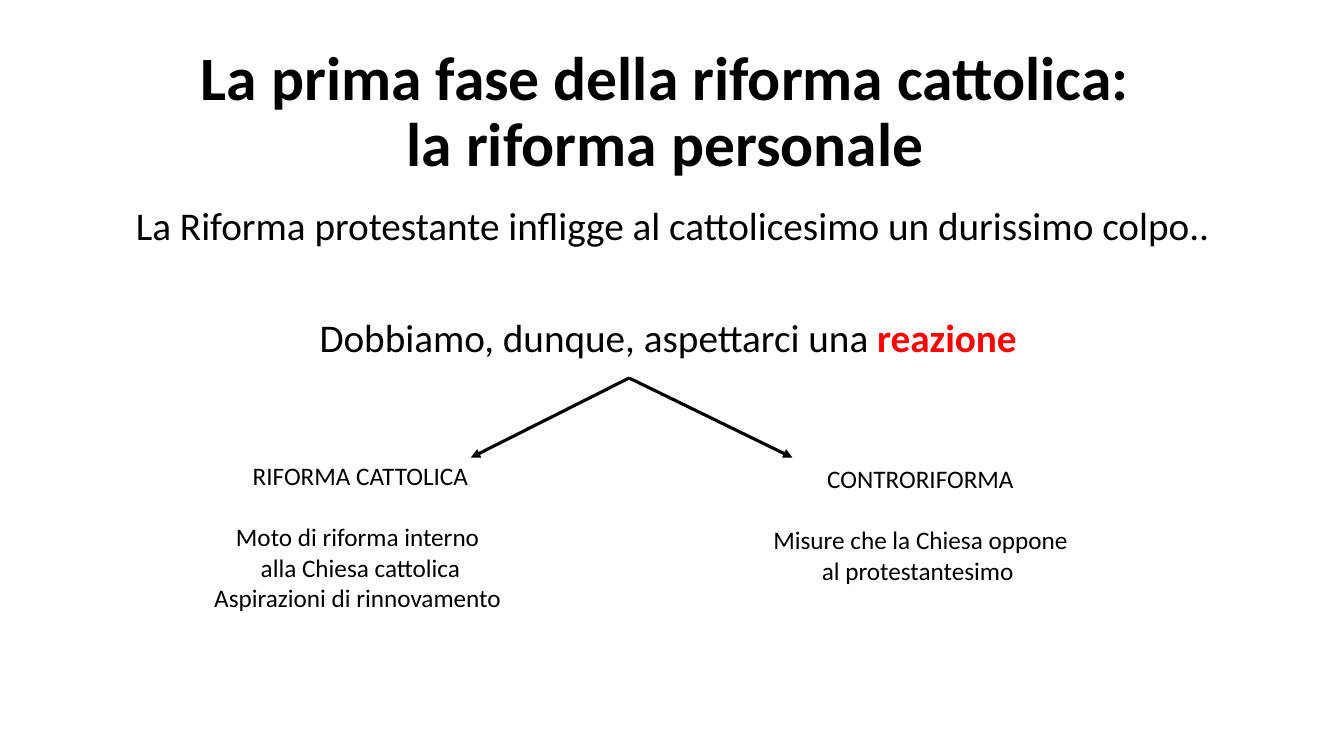
from dataclasses import dataclass

from lxml import etree
from pptx import Presentation
from pptx.dml.color import RGBColor
from pptx.enum.shapes import MSO_CONNECTOR
from pptx.enum.text import MSO_ANCHOR, MSO_AUTO_SIZE, PP_ALIGN
from pptx.oxml.ns import qn
from pptx.util import Emu, Pt

STRAIGHT = MSO_CONNECTOR.STRAIGHT
MIDDLE, TOP = MSO_ANCHOR.MIDDLE, MSO_ANCHOR.TOP
NO_FIT, GROW = MSO_AUTO_SIZE.NONE, MSO_AUTO_SIZE.SHAPE_TO_FIT_TEXT
CENTER = PP_ALIGN.CENTER
EMU_PER_PX = 9144


@dataclass(frozen=True)
class Theme:
    font: str = "Calibri"
    ink: RGBColor = RGBColor(0, 0, 0)
    accent: RGBColor = RGBColor(255, 0, 0)
    title_size: int = 44
    body_size: int = 28
    label_size: int = 18
    body_gap: int = 50
    label_gap: int = 22
    line_width: float = 2.25
    spacing: float = 0.9


@dataclass(frozen=True)
class Box:
    left: int
    top: int
    width: int
    height: int


@dataclass(frozen=True)
class Branch:
    box: Box
    tip: tuple[int, int]
    heading: str
    lines: tuple[str, ...]


THEME = Theme()
TITLE_BOX = Box(92, 40, 1150, 145)
BODY_BOX = Box(92, 200, 1150, 476)
FORK = (624, 375)
BRANCHES = (
    Branch(
        Box(198, 452, 319, 162),
        (467, 454),
        "RIFORMA CATTOLICA",
        ("Moto di riforma interno ", "alla Chiesa cattolica", "Aspirazioni di rinnovamento "),
    ),
    Branch(
        Box(755, 455, 316, 131),
        (786, 454),
        "CONTRORIFORMA",
        ("Misure che la Chiesa oppone", "al protestantesimo "),
    ),
)


def px(n: int) -> Emu:
    return Emu(n * EMU_PER_PX)


def place(sp, box: Box) -> None:
    sp.left, sp.top = px(box.left), px(box.top)
    sp.width, sp.height = px(box.width), px(box.height)


def format_paragraph(p, size: int, before: int = 0, spacing: float = 1.0, bold: bool = False) -> None:
    p.alignment = CENTER
    p.line_spacing = spacing
    p.space_before = Pt(before)
    p.space_after = Pt(0)
    for r in p.runs:
        r.font.name = THEME.font
        r.font.size = Pt(size)
        r.font.bold = bold
        r.font.color.rgb = THEME.ink


def remove_bullet(p) -> None:
    props = p._p.get_or_add_pPr()
    props.set("marL", "0")
    props.set("indent", "0")
    etree.SubElement(props, qn("a:buNone"))


def fill_title(sp) -> None:
    place(sp, TITLE_BOX)
    tf = sp.text_frame
    tf.auto_size = NO_FIT
    tf.vertical_anchor = MIDDLE
    p = tf.paragraphs[0]
    p.text = "La prima fase della riforma cattolica: \nla riforma personale "
    format_paragraph(p, THEME.title_size, spacing=THEME.spacing, bold=True)


def fill_body(sp) -> None:
    place(sp, BODY_BOX)
    tf = sp.text_frame
    tf.auto_size = NO_FIT
    tf.vertical_anchor = TOP
    tf.text = (
        "La Riforma protestante infligge al cattolicesimo un durissimo colpo..\n"
        "Dobbiamo, dunque, aspettarci una "
    )
    reaction = tf.paragraphs[1].add_run()
    reaction.text = "reazione "
    for p, before in zip(tf.paragraphs, (0, THEME.body_gap)):
        remove_bullet(p)
        format_paragraph(p, THEME.body_size, before, THEME.spacing)
    reaction.font.bold = True
    reaction.font.color.rgb = THEME.accent


def add_arrow(slide, start: tuple[int, int], end: tuple[int, int]) -> None:
    line = slide.shapes.add_connector(STRAIGHT, *map(px, start + end))
    line.line.color.rgb = THEME.ink
    line.line.width = Pt(THEME.line_width)
    etree.SubElement(line.line._get_or_add_ln(), qn("a:tailEnd"), type="triangle")
    etree.SubElement(line._element.spPr, qn("a:effectLst"))


def add_label(slide, branch: Branch) -> None:
    box = branch.box
    sp = slide.shapes.add_textbox(px(box.left), px(box.top), px(box.width), px(box.height))
    tf = sp.text_frame
    tf.word_wrap = False
    tf.auto_size = GROW
    tf.text = "\n".join((branch.heading, *branch.lines))
    for i, p in enumerate(tf.paragraphs):
        format_paragraph(p, THEME.label_size, THEME.label_gap if i == 1 else 0)


def main() -> None:
    prs = Presentation()
    prs.slide_width, prs.slide_height = px(1333), px(750)
    slide = prs.slides.add_slide(prs.slide_layouts[1])
    fill_title(slide.shapes.title)
    fill_body(slide.placeholders[1])
    for branch in BRANCHES:
        add_arrow(slide, FORK, branch.tip)
    for branch in BRANCHES:
        add_label(slide, branch)
    prs.save("out.pptx")


if __name__ == "__main__":
    main()
